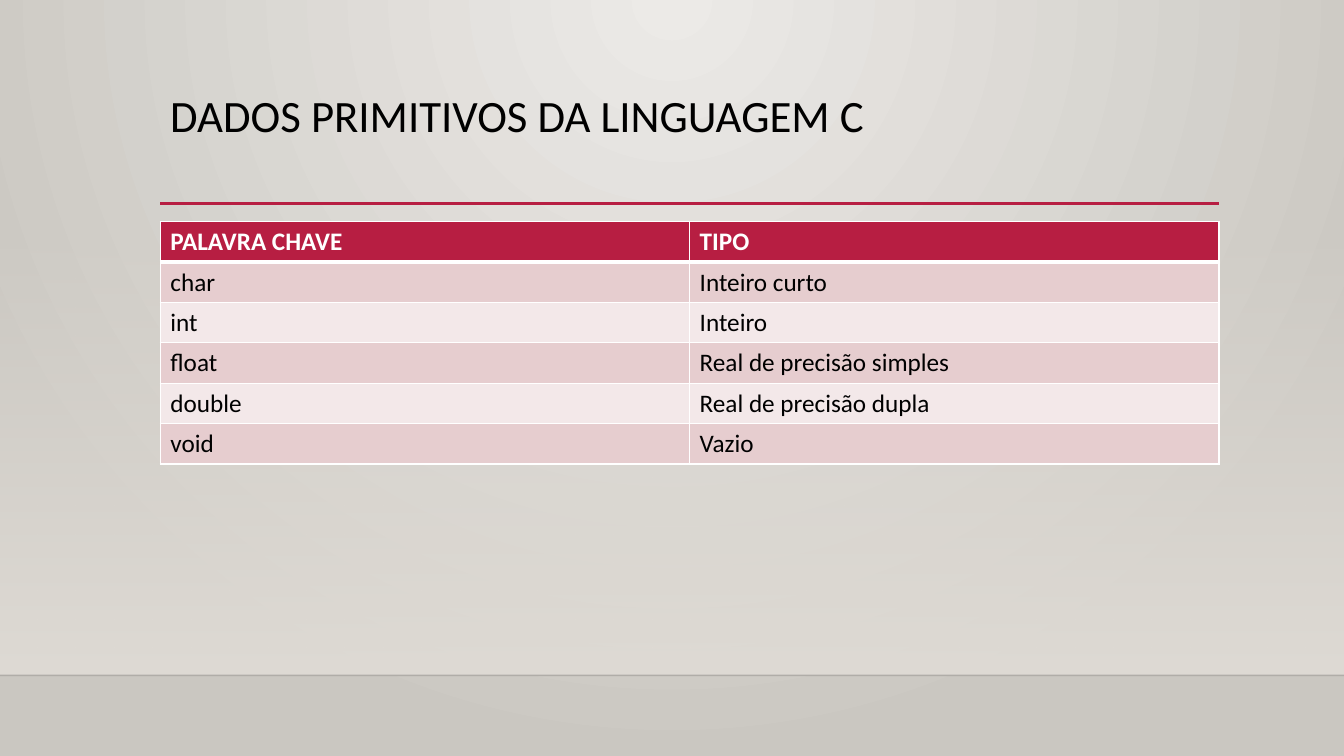
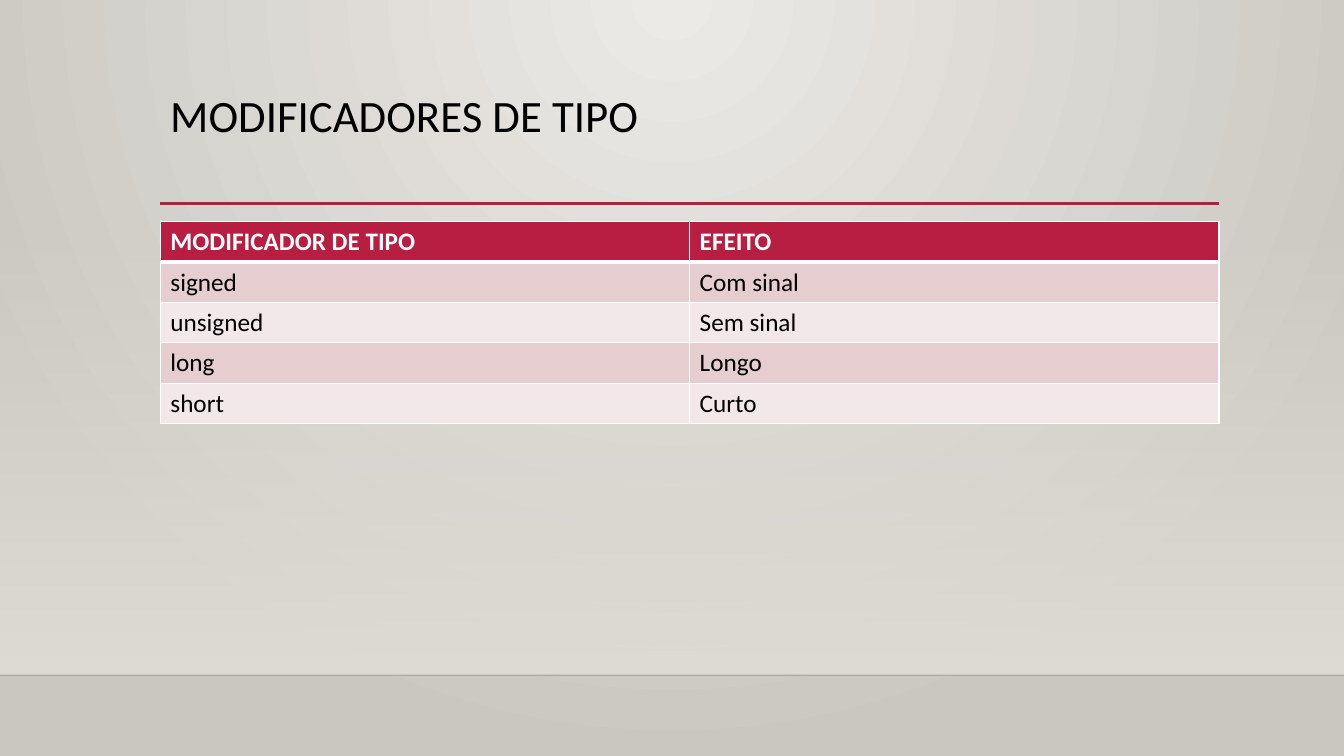
import pptx
import pptx.util
import pptx.dml.color
import pptx.enum.shapes
import pptx.enum.text
import pptx.oxml.ns
import lxml.etree

Inches, Pt = pptx.util.Inches, pptx.util.Pt
RGBColor = pptx.dml.color.RGBColor
qn = pptx.oxml.ns.qn
SubElement = lxml.etree.SubElement

# Theme
FONT = "Calibri"
BLACK = RGBColor(0x00, 0x00, 0x00)
WHITE = RGBColor(0xFF, 0xFF, 0xFF)
CRIMSON = RGBColor(0xB7, 0x1E, 0x42)
ROSE = RGBColor(0xE6, 0xCD, 0xCF)
PALE_ROSE = RGBColor(0xF3, 0xE8, 0xE9)
BG_LIGHT = RGBColor(0xEC, 0xEA, 0xE7)
BG_DARK = RGBColor(0xCA, 0xC7, 0xC1)
SAND = RGBColor(0xDF, 0xDB, 0xD5)

# Layout
SLIDE_W, SLIDE_H = Inches(13.33), Inches(7.5)
LEFT, WIDTH = Inches(1.59), Inches(10.5)
FLOOR_Y = Inches(6.7)
ROW_H = Inches(0.4)

SLIDES = [
    ("DADOS PRIMITIVOS DA LINGUAGEM C", [
        ("PALAVRA CHAVE", "TIPO"),
        ("char", "Inteiro curto"),
        ("int", "Inteiro"),
        ("float", "Real de precisão simples"),
        ("double", "Real de precisão dupla"),
        ("void", "Vazio"),
    ]),
    ("MODIFICADORES DE TIPO", [
        ("MODIFICADOR DE TIPO", "EFEITO"),
        ("signed", "Com sinal"),
        ("unsigned", "Sem sinal"),
        ("long", "Longo"),
        ("short", "Curto"),
    ]),
]


def set_alpha(element, percent):
    """Set the opacity of the first colour inside element."""
    color = next(element.iter(qn("a:srgbClr")))
    SubElement(color, qn("a:alpha")).set("val", str(percent * 1000))


def fill_gradient(fill, *colors):
    fill.gradient()
    for stop, color in zip(fill.gradient_stops, colors):
        stop.color.rgb = color


def style_run(r, size, color, bold=False):
    r.font.name, r.font.size = FONT, Pt(size)
    r.font.color.rgb, r.font.bold = color, bold


def set_background(master):
    """Radial gradient spreading from the top centre."""
    fill_gradient(master.background.fill, BG_LIGHT, BG_DARK)
    grad = next(master.element.iter(qn("a:gradFill")))
    grad.remove(grad.find(qn("a:lin")))
    path = SubElement(grad, qn("a:path"))
    path.set("path", "circle")
    focus = SubElement(path, qn("a:fillToRect"))
    for side, percent in zip("ltrb", (43, 0, 43, 100)):
        focus.set(side, str(percent * 1000))


def add_line(s, left, y, width, color, weight):
    line = s.shapes.add_connector(
        pptx.enum.shapes.MSO_CONNECTOR.STRAIGHT, left, y, left + width, y)
    line.line.color.rgb, line.line.width = color, Pt(weight)
    SubElement(line._element.spPr, qn("a:effectLst"))
    return line


def add_backdrop(s, top, bottom):
    """Wall fading in down to the floor line."""
    sp = s.shapes.add_shape(pptx.enum.shapes.MSO_SHAPE.RECTANGLE,
                            0, top, SLIDE_W, bottom - top)
    sp.shadow.inherit = False
    sp.line.fill.background()
    fill_gradient(sp.fill, SAND, SAND)
    sp.fill.gradient_angle = 270
    set_alpha(sp._element.spPr, 0)
    floor = add_line(s, 0, bottom, SLIDE_W, BLACK, 1)
    set_alpha(floor._element.spPr, 20)


def add_title(s, text, left, top, width, height):
    """Heading with a rule along its lower edge."""
    add_line(s, left, top + height, width, CRIMSON, 2.5)
    tf = s.shapes.add_textbox(left, top, width, height).text_frame
    tf.word_wrap = True
    tf.vertical_anchor = pptx.enum.text.MSO_ANCHOR.TOP
    tf.text = text
    p = tf.paragraphs[0]
    p.line_spacing = 0.9
    style_run(p.runs[0], 32, BLACK)


def set_borders(cell, top, bottom):
    tcPr = cell._tc.get_or_add_tcPr()
    for side, weight in zip("LRTB", (1, 1, top, bottom)):
        ln = SubElement(tcPr, qn("a:ln" + side))
        ln.set("w", str(Pt(weight)))
        fill = SubElement(ln, qn("a:solidFill"))
        SubElement(fill, qn("a:srgbClr")).set("val", str(WHITE))


def add_data_table(s, rows, left, top, width):
    """Header row, then rows in alternating tints."""
    cols = len(rows[0])
    table = s.shapes.add_table(len(rows), cols, left, top, width,
                               ROW_H * len(rows)).table
    for i, row in enumerate(rows):
        header = i == 0
        fill = CRIMSON if header else ROSE if i % 2 else PALE_ROSE
        for j, text in enumerate(row):
            cell = table.cell(i, j)
            # The heavy rule lies between the header and the first row
            set_borders(cell, 3 if i == 1 else 1, 3 if header else 1)
            cell.fill.solid()
            cell.fill.fore_color.rgb = fill
            cell.text_frame.text = text
            style_run(cell.text_frame.paragraphs[0].runs[0], 18,
                      WHITE if header else BLACK, header)


def add_table_slide(prs, title, rows):
    s = prs.slides.add_slide(prs.slide_layouts[6])
    add_backdrop(s, Inches(2.21), FLOOR_Y)
    add_title(s, title, LEFT, Inches(0.88), WIDTH, Inches(1.14))
    add_data_table(s, rows, LEFT, Inches(2.2), WIDTH)


def main():
    prs = pptx.Presentation()
    prs.slide_width, prs.slide_height = SLIDE_W, SLIDE_H
    set_background(prs.slide_master)
    for title, rows in SLIDES:
        add_table_slide(prs, title, rows)
    prs.save("out.pptx")


if __name__ == "__main__":
    main()
